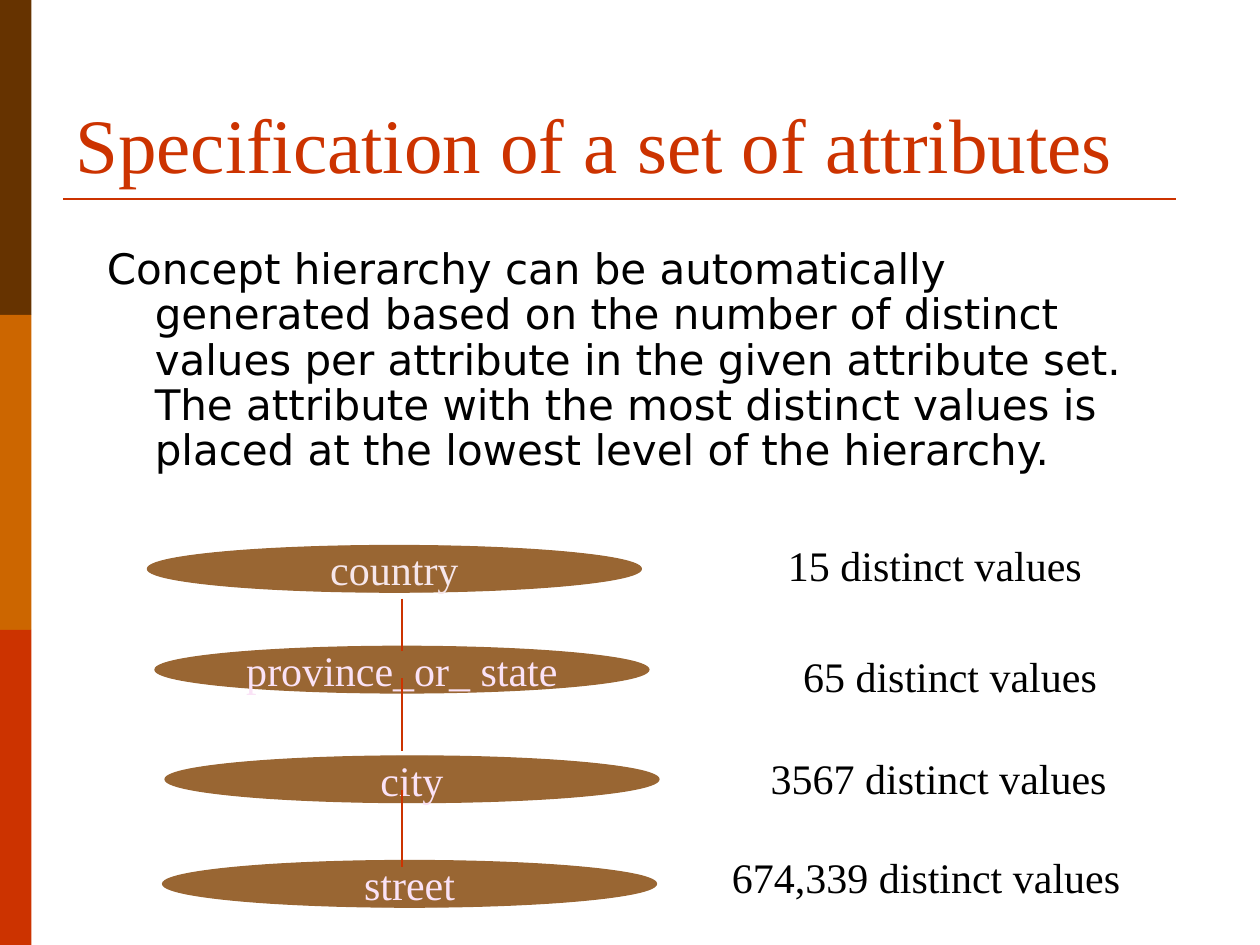
import pptx
import pptx.util
import pptx.dml.color
import pptx.enum.shapes
import pptx.enum.text
import pptx.oxml

Inches, Pt = pptx.util.Inches, pptx.util.Pt
RGBColor = pptx.dml.color.RGBColor
Shape = pptx.enum.shapes.MSO_SHAPE
Align, Anchor = pptx.enum.text.PP_ALIGN, pptx.enum.text.MSO_ANCHOR

DARK = RGBColor(0x66, 0x33, 0x00)
AMBER = RGBColor(0xCC, 0x66, 0x00)
RED = RGBColor(0xCC, 0x33, 0x00)
BROWN = RGBColor(0x99, 0x66, 0x33)
ROSE = RGBColor(0xF6, 0xE6, 0xEA)
PINK = RGBColor(0xFA, 0xE2, 0xF6)
BLACK = RGBColor(0, 0, 0)
SERIF, SANS = "Times New Roman", "DejaVu Sans"


def write(shape, text, size, color, face=SERIF, align=Align.LEFT,
          anchor=Anchor.TOP, wrap=True):
    frame = shape.text_frame
    frame.word_wrap = wrap
    frame.vertical_anchor = anchor
    para = frame.paragraphs[0]
    para.text = text
    para.alignment = align
    para.font.size = Pt(size)
    para.font.name = face
    para.font.color.rgb = color
    return para


def add_box(slide, box):
    return slide.shapes.add_textbox(*map(Inches, box))


def add_solid(slide, kind, box, color):
    shape = slide.shapes.add_shape(kind, *map(Inches, box))
    shape.shadow.inherit = False
    shape.fill.solid()
    shape.fill.fore_color.rgb = color
    shape.line.color.rgb = color
    shape.line.width = Pt(0.75)
    return shape


def add_line(slide, ends, width):
    line = slide.shapes.add_connector(
        pptx.enum.shapes.MSO_CONNECTOR.STRAIGHT, *map(Inches, ends))
    line.line.color.rgb = RED
    line.line.width = Pt(width)
    props = line._element.spPr
    props.append(pptx.oxml.parse_xml(
        '<a:effectLst xmlns:a='
        '"http://schemas.openxmlformats.org/drawingml/2006/main"/>'))


def add_side(slide, box):
    """Stack of equal colour bands."""
    left, top, width, height = box
    bands = (DARK, AMBER, RED)
    step = height / len(bands)
    for row, color in enumerate(bands):
        band = add_solid(slide, Shape.RECTANGLE,
                         (left, top + row * step, width, step), color)
        band.line.fill.background()


def add_title(slide, box, text):
    """Title with a rule below it."""
    left, top, width, height = box
    write(add_box(slide, box), text, 44, RED, anchor=Anchor.BOTTOM)
    rule = top + height + 0.03
    add_line(slide, (left, rule, left + 8.83, rule), 1.5)


def add_body(slide, box, text):
    """Paragraph with a hanging indent."""
    shape = add_box(slide, box)
    props = write(shape, text, 24, BLACK, SANS)._p.get_or_add_pPr()
    props.set("marL", str(Inches(0.38)))
    props.set("indent", str(-Inches(0.38)))
    shape.text_frame.paragraphs[0].line_spacing = 0.9


def add_levels(slide, box):
    """Hierarchy of ovals, their links and the count beside each."""
    left, top, width, height = box
    # name, colour, oval offset (x, y), count, count middle x, count offset y
    levels = (
        ("country", ROSE, 0, 0.1, "15 distinct values", 7.42, 0),
        ("province_or_ state", PINK, 0.06, 0.9,
         "65 distinct values", 7.54, 0.88),
        ("city", PINK, 0.14, 1.77, "3567 distinct values", 7.45, 1.69),
        ("street", PINK, 0.12, 2.6, "674,339 distinct values", 7.35, 2.48),
    )
    for name, color, dx, dy, *rest in levels:
        oval = add_solid(slide, Shape.OVAL,
                         (left + dx, top + dy, 3.92, 0.37), BROWN)
        write(oval, name, 24, color, align=Align.CENTER,
              anchor=Anchor.MIDDLE, wrap=False)
    for start, end in ((0.52, 0.94), (1.15, 1.73), (2.04, 2.65)):
        add_line(slide, (left + 2.02, top + start,
                         left + 2.02, top + end), 0.75)
    for *rest, count, mid, dy in levels:
        label = add_box(slide, (mid - 1.64, top + dy, 3.28, 0.5))
        write(label, count, 24, BLACK, align=Align.CENTER)


def main():
    deck = pptx.Presentation()
    deck.slide_width, deck.slide_height = Inches(10), Inches(7.5)
    slide = deck.slides.add_slide(deck.slide_layouts[6])
    add_side(slide, (0, 0, 0.25, 7.5))
    add_title(slide, (0.5, 0.3, 9, 1.25),
              "Specification of a set of attributes")
    add_body(slide, (0.75, 1.92, 8.58, 2.08),
             "Concept hierarchy can be automatically generated based on the "
             "number of distinct values per attribute in the given attribute "
             "set. The attribute with the most distinct values is placed at "
             "the lowest level of the hierarchy.")
    add_levels(slide, (1.17, 4.23, 7.82, 2.98))
    deck.save("out.pptx")


if __name__ == "__main__":
    main()
